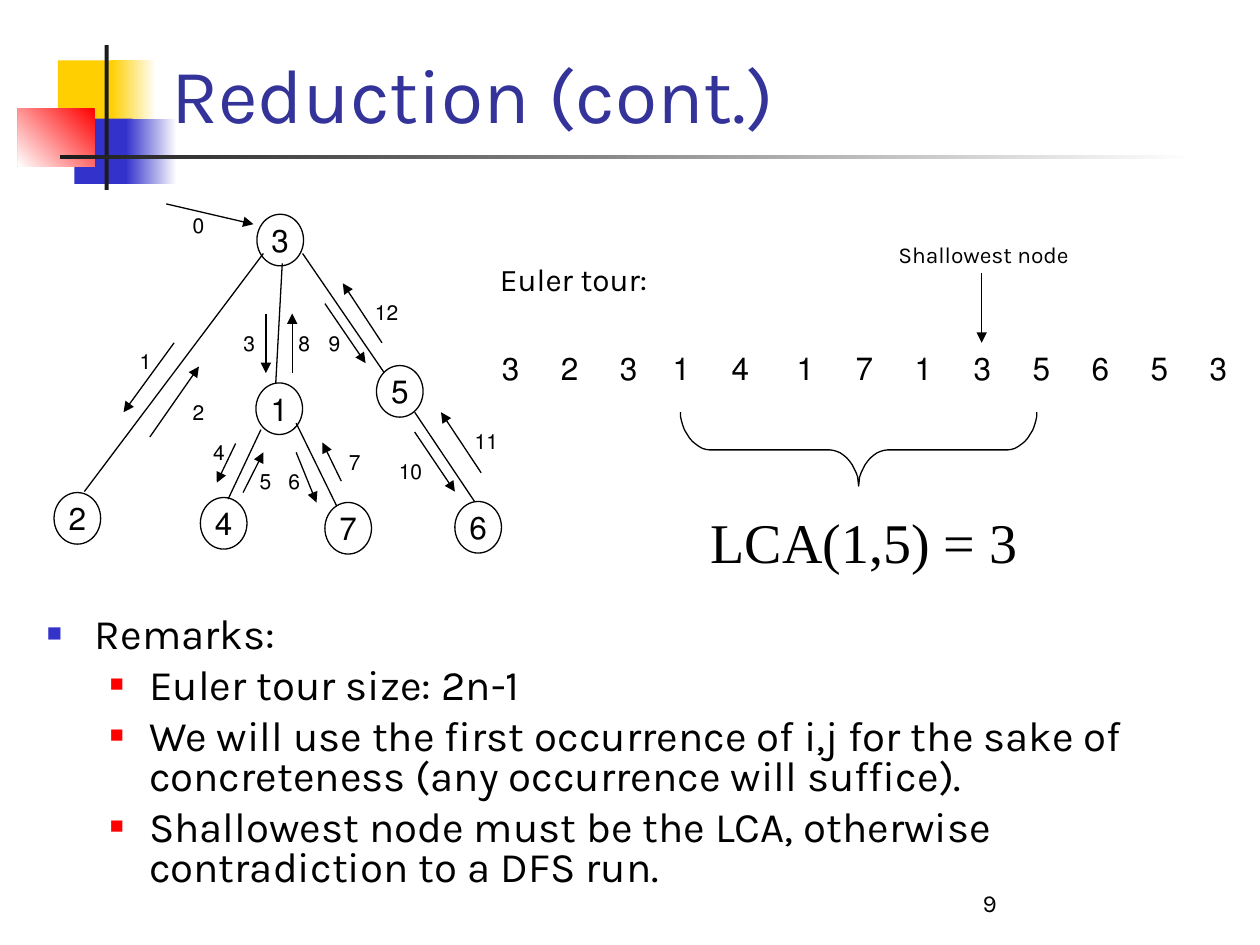
from typing import NamedTuple, Optional

from lxml.etree import SubElement
from pptx import Presentation
from pptx.dml.color import RGBColor
from pptx.enum.shapes import MSO_CONNECTOR, MSO_SHAPE
from pptx.enum.text import MSO_ANCHOR, MSO_AUTO_SIZE, PP_ALIGN
from pptx.oxml.ns import qn
from pptx.util import Cm, Pt

COLORS = {"ink": "000000", "paper": "FFFFFF", "heading": "333399", "yellow": "FFCF01",
          "blue": "3333CC", "red": "FF0000", "charcoal": "1C1C1C"}
SANS, SERIF = "Karla", "Times New Roman"
HAIRLINE = Pt(0.74)


class Band(NamedTuple):
    box: tuple
    start: str
    end: Optional[str] = None
    angle: int = 180


class Node(NamedTuple):
    key: str
    left: float
    top: float
    filled: bool = True


class Step(NamedTuple):
    label: str
    start: tuple
    end: tuple
    corner: tuple
    width: float = 0.24


class Remark(NamedTuple):
    text: str
    level: int = 1


class Bullet(NamedTuple):
    margin: float
    hang: float
    color: str
    percent: int


BANDS = [
    Band((0.46, 0.48, 0.48, 0.52), "yellow"),
    Band((0.88, 0.48, 0.36, 0.52), "paper", "yellow"),
    Band((0.59, 0.94, 0.46, 0.52), "blue"),
    Band((1, 0.94, 0.4, 0.52), "paper", "blue"),
    Band((0.14, 0.86, 0.61, 0.46), "red", "paper", 225),
    Band((0.83, 0.36, 0.03, 1.15), "charcoal"),
    Band((0.48, 1.23, 9, 0.03), "paper", "charcoal"),
]
EDGES = [
    ((2.24, 2.09), (2.19, 3.04)), ((2.09, 2.01), (0.67, 3.9)), ((2.4, 2.01), (3.05, 2.96)),
    ((3.29, 3.27), (3.78, 4)), ((2.07, 3.41), (1.81, 3.96)), ((2.35, 3.36), (2.71, 4.09)),
]
NODES = [
    Node("3", 2.04, 1.7, False), Node("4", 1.59, 3.95, False), Node("5", 2.99, 2.9),
    Node("1", 2.03, 3.04, False), Node("6", 3.61, 3.98), Node("7", 2.58, 3.99),
    Node("2", 0.43, 3.91),
]
STEPS = [
    Step("0", (1.32, 1.62), (2.01, 1.78), (1.3, 1.64), 0.42),
    Step("1", (1.38, 2.72), (0.98, 3.27), (1.06, 2.72)),
    Step("2", (1.19, 3.47), (1.58, 2.91), (1.48, 3.12)),
    Step("3", (2.11, 2.49), (2.11, 2.96), (1.88, 2.57)),
    Step("4", (1.87, 3.52), (1.72, 3.83), (1.64, 3.44)),
    Step("5", (1.93, 3.91), (2.09, 3.59), (2.01, 3.67)),
    Step("6", (2.35, 3.59), (2.51, 3.99), (2.24, 3.67)),
    Step("7", (2.71, 3.82), (2.56, 3.51), (2.72, 3.52)),
    Step("8", (2.32, 2.96), (2.32, 2.49), (2.32, 2.57)),
    Step("9", (2.58, 2.41), (2.9, 2.88), (2.56, 2.57)),
    Step("10", (3.29, 3.43), (3.61, 3.9), (3.06, 3.59), 0.39),
    Step("11", (3.82, 3.75), (3.5, 3.27), (3.66, 3.35), 0.39),
    Step("12", (3.03, 2.72), (2.72, 2.25), (2.87, 2.33), 0.39),
]
TOUR = "3231417135653"
TOUR_NUDGE = {3: -0.05, 4: -0.05}
REMARKS = [
    Remark("Remarks:", 0),
    Remark("Euler tour size: 2n-1"),
    Remark("We will use the first occurrence of i,j for the sake of concreteness "
           "(any occurrence will suffice)."),
    Remark("Shallowest node must be the LCA, otherwise contradiction to a DFS run."),
]
BULLETS = [Bullet(0.38, 0.38, "blue", 60), Bullet(0.81, 0.31, "red", 55)]


def length(inches: float) -> Cm:
    return Cm(round(inches * 2.54, 2))


def rgb(name: str) -> RGBColor:
    return RGBColor.from_string(COLORS[name])


def write(paragraph, text: str, *, size=18, font=SANS, color="ink",
          align=PP_ALIGN.LEFT, rtl=False, before=None):
    run = paragraph.add_run()
    run.text = text
    run.font.size, run.font.name = Pt(size), font
    run.font.color.rgb = rgb(color)
    paragraph.alignment = align
    if before is not None:
        paragraph.space_before = Pt(before)
    if rtl:
        paragraph._p.get_or_add_pPr().set("rtl", "1")


def add_label(box: tuple, text: str, *, wrap=True, anchor=MSO_ANCHOR.TOP, **style):
    frame = slide.shapes.add_textbox(*map(length, box)).text_frame
    frame.word_wrap, frame.vertical_anchor = wrap, anchor
    write(frame.paragraphs[0], text, **style)


def add_band(band: Band):
    shape = slide.shapes.add_shape(MSO_SHAPE.RECTANGLE, *map(length, band.box))
    shape.shadow.inherit = False
    shape.line.fill.background()
    if band.end is None:
        shape.fill.solid()
        shape.fill.fore_color.rgb = rgb(band.start)
        return
    shape.fill.gradient()
    shape.fill.gradient_angle = band.angle
    for stop, position, name in zip(shape.fill.gradient_stops, (0, 1), (band.start, band.end)):
        stop.position = position
        stop.color.rgb = rgb(name)


def add_line(start: tuple, end: tuple, arrow=False):
    line = slide.shapes.add_connector(MSO_CONNECTOR.STRAIGHT, *map(length, start + end))
    line.line.width = HAIRLINE
    line.line.color.rgb = rgb("ink")
    if arrow:
        SubElement(line.line._get_or_add_ln(), qn("a:tailEnd"), type="triangle")
    SubElement(line._element.spPr, qn("a:effectLst"))


def outline(shape, filled: bool):
    shape.shadow.inherit = False
    shape.line.width = HAIRLINE
    shape.line.color.rgb = rgb("ink")
    if filled:
        shape.fill.solid()
        shape.fill.fore_color.rgb = rgb("paper")
    else:
        shape.fill.background()


def add_node(node: Node):
    circle = slide.shapes.add_shape(
        MSO_SHAPE.OVAL, *map(length, (node.left, node.top, 0.37, 0.41)))
    outline(circle, node.filled)
    circle.text_frame.word_wrap = False
    circle.text_frame.vertical_anchor = MSO_ANCHOR.MIDDLE
    write(circle.text_frame.paragraphs[0], node.key, align=PP_ALIGN.CENTER, rtl=True)


def bend(start: tuple, corner: tuple, end: tuple, steps=12) -> list:
    def at(t: float, axis: int) -> float:
        near, far = (start[axis] + corner[axis]) / 2, (corner[axis] + end[axis]) / 2
        return ((1 - t) ** 3 * start[axis] + 3 * (1 - t) ** 2 * t * near
                + 3 * (1 - t) * t ** 2 * far + t ** 3 * end[axis])
    return [(at(i / steps, 0), at(i / steps, 1)) for i in range(steps + 1)]


def add_brace(left: float, right: float, top: float, bar: float, tip: float, radius=0.23):
    middle = (left + right) / 2
    half = (bend((left, top), (left, bar), (left + radius, bar))
            + bend((middle - radius, bar), (middle, bar), (middle, tip)))
    points = half + [(left + right - x, y) for x, y in reversed(half[:-1])]
    emu = [(length(x), length(y)) for x, y in points]
    builder = slide.shapes.build_freeform(*emu[0])
    builder.add_line_segments(emu[1:], close=False)
    outline(builder.convert_to_shape(), False)


def add_bullet(paragraph, bullet: Bullet):
    props = paragraph._p.get_or_add_pPr()
    props.set("marL", str(length(bullet.margin)))
    props.set("indent", str(-length(bullet.hang)))
    SubElement(SubElement(props, qn("a:buClr")), qn("a:srgbClr"), val=COLORS[bullet.color])
    SubElement(props, qn("a:buSzPct"), val=str(bullet.percent * 1000))
    SubElement(props, qn("a:buChar"), char="■")


def place(holder, box: tuple, anchor):
    holder.left, holder.top, holder.width, holder.height = map(length, box)
    holder.text_frame.auto_size = MSO_AUTO_SIZE.NONE
    holder.text_frame.vertical_anchor = anchor
    slide.shapes._spTree.append(holder._element)
    return holder.text_frame


deck = Presentation()
deck.slide_width, deck.slide_height = length(10), length(7.5)
slide = deck.slides.add_slide(deck.slide_layouts[1])
heading, remarks = slide.placeholders

for band in BANDS:
    add_band(band)
title = place(heading, (1.26, 0.23, 8.52, 0.92), MSO_ANCHOR.BOTTOM)
write(title.paragraphs[0], "Reduction (cont.)", size=44, color="heading")

body = place(remarks, (0.27, 4.85, 9.28, 2.28), MSO_ANCHOR.TOP)
for index, remark in enumerate(REMARKS):
    paragraph = body.add_paragraph() if index else body.paragraphs[0]
    paragraph.level, paragraph.line_spacing = remark.level, 0.8
    write(paragraph, remark.text, size=24, before=6)
    add_bullet(paragraph, BULLETS[remark.level])

for edge in EDGES:
    add_line(*edge)
for node in NODES:
    add_node(node)
for step in STEPS:
    add_line(step.start, step.end, arrow=True)
    add_label((*step.corner, step.width, 0.3), step.label, size=12,
              align=PP_ALIGN.RIGHT, rtl=True, before=7.5)

add_label((3.87, 2.01, 1.43, 0.4), "Euler tour:", wrap=False)
for index, key in enumerate(TOUR):
    left = 3.9 + 5.62 * index / (len(TOUR) - 1) + TOUR_NUDGE.get(index, 0)
    add_label((left, 2.72, 0.32, 0.4), key, align=PP_ALIGN.JUSTIFY, rtl=True)

add_brace(5.4, 8.23, 3.27, 3.57, 3.86)
add_label((5.54, 3.98, 2.64, 0.64), "LCA(1,5) = 3", wrap=False, size=32, font=SERIF,
          align=PP_ALIGN.CENTER)
add_line((7.79, 2.17), (7.79, 2.72), arrow=True)
add_label((7, 1.86, 1.58, 0.32), "Shallowest node", wrap=False, size=13,
          align=PP_ALIGN.RIGHT, rtl=True)
add_label((7.7, 6.83, 2.08, 0.5), "9", size=14, anchor=MSO_ANCHOR.BOTTOM)

deck.save("out.pptx")
